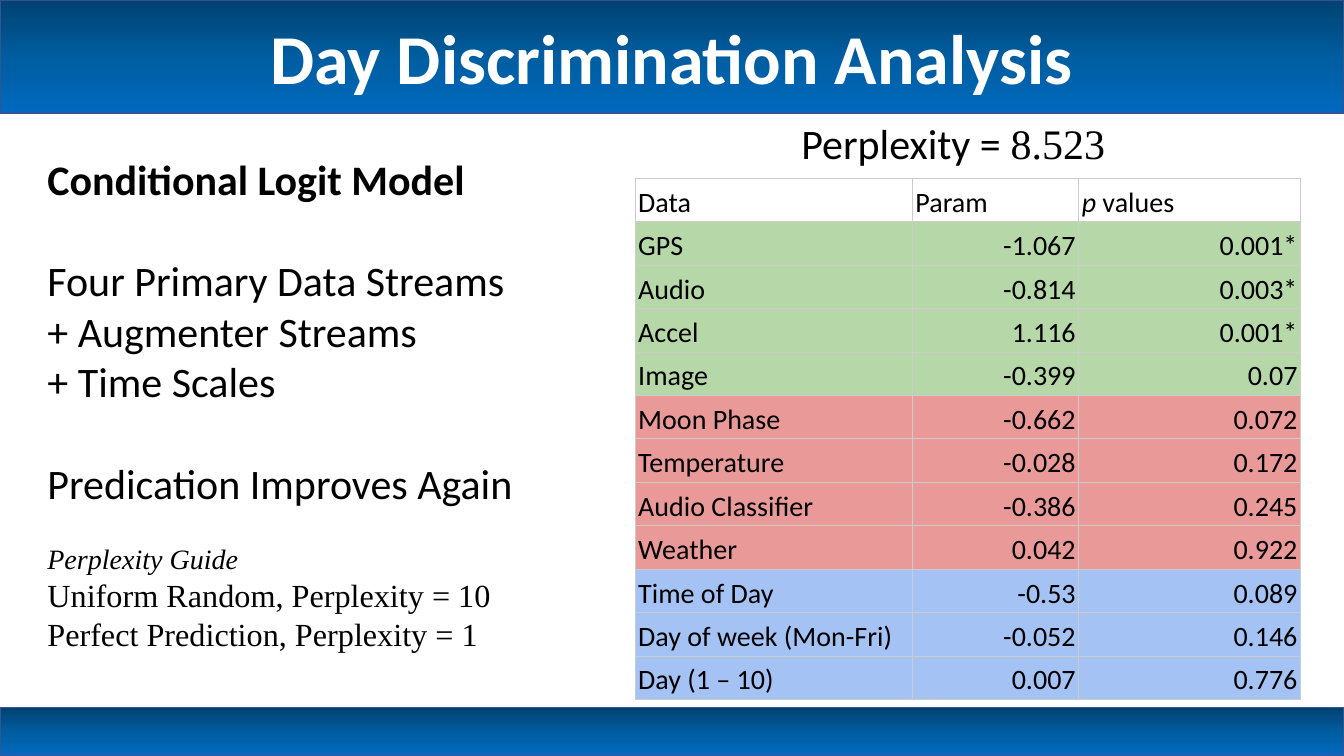
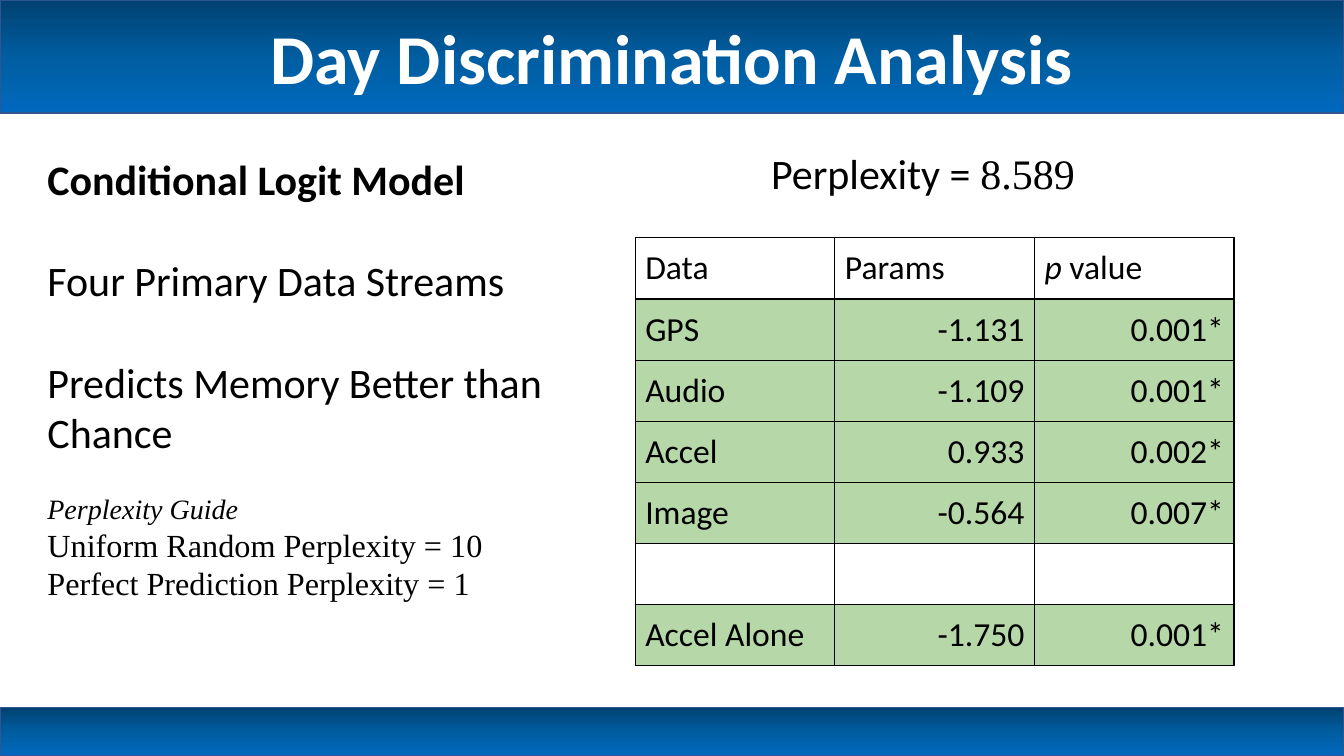
from copy import deepcopy

from lxml.etree import SubElement
from pptx import Presentation
from pptx.dml.color import RGBColor
from pptx.enum.shapes import MSO_SHAPE
from pptx.enum.text import MSO_ANCHOR, MSO_AUTO_SIZE, PP_ALIGN
from pptx.oxml.ns import qn
from pptx.util import Inches, Pt

# Colours and fonts
BLACK = RGBColor(0x00, 0x00, 0x00)
WHITE = RGBColor(0xFF, 0xFF, 0xFF)
BAND_LINE = RGBColor(0x32, 0x54, 0x91)
BAND_STOPS = [
    (0, RGBColor(0x00, 0x42, 0x72)),
    (0.54, RGBColor(0x00, 0x5E, 0xA2)),
    (1, RGBColor(0x00, 0x69, 0xBE)),
]
GRID_GREY = RGBColor(0xCC, 0xCC, 0xCC)
GREEN = RGBColor(0xB6, 0xD7, 0xA8)
RED = RGBColor(0xEA, 0x99, 0x99)
BLUE = RGBColor(0xA4, 0xC2, 0xF4)
SANS = "Calibri"
SERIF = "Times New Roman"

# Text styles
TITLE = {"name": SANS, "size": Pt(50), "bold": True, "color": WHITE}
BODY = {"name": SANS, "size": Pt(30), "bold": False, "color": BLACK}
HEADING = {**BODY, "bold": True}
FIGURE = {**BODY, "name": SERIF}
GUIDE = {"name": SERIF, "size": Pt(23), "bold": False, "color": BLACK}
GUIDE_HEADING = {**GUIDE, "size": Pt(20), "italic": True}

# Space before a paragraph, in points
BODY_GAP = 36.5
GUIDE_GAP = 24.5

# Boxes: left, top, width, height in inches
SLIDE_WIDTH, SLIDE_HEIGHT = 13.33, 7.5
HEADER_BOX = (0, 0, SLIDE_WIDTH, 1.12)
FOOTER_BOX = (0, 7.02, SLIDE_WIDTH, 0.48)
TITLE_BOX = (2.04, 0.09, 9.25, 0.94)


def add_run(paragraph, text, style):
    run = paragraph.add_run()
    run.text = text
    for attribute, value in style.items():
        if attribute == "color":
            run.font.color.rgb = value
        else:
            setattr(run.font, attribute, value)


def place(shape, box):
    for attribute, length in zip(("left", "top", "width", "height"), box):
        setattr(shape, attribute, Inches(length))


def add_band(slide, box):
    """Gradient band behind everything else."""
    band = slide.shapes.add_shape(MSO_SHAPE.RECTANGLE, *map(Inches, box))
    band.shadow.inherit = False
    band.line.color.rgb = BAND_LINE
    band.line.width = Pt(1)
    band.fill.gradient()
    band.fill.gradient_angle = 270
    stop_list = band.element.find(".//" + qn("a:gsLst"))
    stop_list.append(deepcopy(stop_list[0]))
    for stop, (position, color) in zip(band.fill.gradient_stops, BAND_STOPS):
        stop.position = position
        stop.color.rgb = color
    band.element.getparent().insert(2, band.element)


def fill_title(slide, box, text):
    title = slide.shapes.title
    place(title, box)
    frame = title.text_frame
    frame.auto_size = MSO_AUTO_SIZE.NONE
    frame.vertical_anchor = MSO_ANCHOR.TOP
    paragraph = frame.paragraphs[0]
    paragraph.alignment = PP_ALIGN.CENTER
    add_run(paragraph, text, TITLE)


def fill_body(slide, box, lines):
    """Unbulleted list of (text, style, space before)."""
    body = slide.placeholders[1]
    place(body, box)
    frame = body.text_frame
    frame.auto_size = MSO_AUTO_SIZE.NONE
    for index, (text, style, gap) in enumerate(lines):
        paragraph = frame.add_paragraph() if index else frame.paragraphs[0]
        properties = paragraph._p.get_or_add_pPr()
        properties.set("marL", "0")
        properties.set("indent", "0")
        SubElement(properties, qn("a:buNone"))
        paragraph.space_before = Pt(gap)
        add_run(paragraph, text, style)


def add_perplexity(slide, box, value):
    caption = slide.shapes.add_textbox(*map(Inches, box))
    caption.text_frame.word_wrap = True
    paragraph = caption.text_frame.paragraphs[0]
    add_run(paragraph, "Perplexity = ", BODY)
    add_run(paragraph, value, FIGURE)


def set_borders(cell, color, width):
    properties = cell._tc.get_or_add_tcPr()
    for side in ("lnL", "lnR", "lnT", "lnB"):
        line = SubElement(properties, qn("a:" + side), w=str(Pt(width)))
        solid = SubElement(line, qn("a:solidFill"))
        SubElement(solid, qn("a:srgbClr"), val=str(color))


def add_results(slide, box, header, rows, look):
    """Table of (fill, name, parameter, p value) rows under a header."""
    left, top, width, height = box
    lines = [(None, *header), *rows]
    frame = slide.shapes.add_table(len(lines), len(header), *map(Inches, box))
    table = frame.table
    table.first_row = table.horz_banding = False
    for column, share in zip(table.columns, look["shares"]):
        column.width = Inches(width * share / sum(look["shares"]))
    for row in table.rows:
        row.height = Inches(height / len(lines))

    style = {"name": SANS, "size": Pt(look["size"]), "color": BLACK}
    side_margin, end_margin = look["margins"]
    cell_format = {
        "margin_left": Inches(side_margin), "margin_right": Inches(side_margin),
        "margin_top": Inches(end_margin), "margin_bottom": Inches(end_margin),
        "vertical_anchor": look["anchor"],
    }
    for row_index, (fill, *texts) in enumerate(lines):
        for column_index, text in enumerate(texts):
            cell = table.cell(row_index, column_index)
            for attribute, value in cell_format.items():
                setattr(cell, attribute, value)
            set_borders(cell, *look["border"])
            if fill:
                cell.fill.solid()
                cell.fill.fore_color.rgb = fill
            else:
                cell.fill.background()
            paragraph = cell.text_frame.paragraphs[0]
            if row_index and column_index:
                paragraph.alignment = PP_ALIGN.RIGHT
            if row_index or column_index:
                paragraph.line_spacing = look["spacing"]
            # The symbol p is italic in the header
            if text.startswith("p "):
                add_run(paragraph, "p", {**style, "italic": True})
                text = text[1:]
            if text:
                add_run(paragraph, text, style)


def add_analysis_slide(presentation, content):
    slide = presentation.slides.add_slide(presentation.slide_layouts[1])
    for box in (HEADER_BOX, FOOTER_BOX):
        add_band(slide, box)
    fill_title(slide, TITLE_BOX, "Day Discrimination Analysis")
    fill_body(slide, content["body_box"], content["body"])
    add_results(slide, content["table_box"], content["header"],
                content["rows"], content["look"])
    add_perplexity(slide, content["caption_box"], content["perplexity"])


ALL_STREAMS = {
    "body_box": (0.37, 1.47, 5.93, 5.08),
    "body": [
        ("Conditional Logit Model", HEADING, 0),
        ("Four Primary Data Streams", BODY, BODY_GAP),
        ("+ Augmenter Streams", BODY, 0),
        ("+ Time Scales", BODY, 0),
        ("Predication Improves Again", BODY, BODY_GAP),
        ("Perplexity Guide", GUIDE_HEADING, GUIDE_GAP),
        ("Uniform Random, Perplexity = 10", GUIDE, 0),
        ("Perfect Prediction, Perplexity = 1", GUIDE, 0),
    ],
    "caption_box": (7.85, 1.12, 3.44, 0.61),
    "perplexity": "8.523",
    "table_box": (6.3, 1.77, 6.6, 5.01),
    "header": ("Data", "Param", "p values"),
    "rows": [
        (GREEN, "GPS", "-1.067", "0.001*"),
        (GREEN, "Audio", "-0.814", "0.003*"),
        (GREEN, "Accel", "1.116", "0.001*"),
        (GREEN, "Image", "-0.399", "0.07"),
        (RED, "Moon Phase", "-0.662", "0.072"),
        (RED, "Temperature", "-0.028", "0.172"),
        (RED, "Audio Classifier", "-0.386", "0.245"),
        (RED, "Weather", "0.042", "0.922"),
        (BLUE, "Time of Day", "-0.53", "0.089"),
        (BLUE, "Day of week (Mon-Fri)", "-0.052", "0.146"),
        (BLUE, "Day (1 – 10)", "0.007", "0.776"),
    ],
    "look": {
        "shares": (2.75, 1.65, 2.2), "size": 20, "spacing": 1.15,
        "margins": (0.03, 0.02), "anchor": MSO_ANCHOR.BOTTOM,
        "border": (GRID_GREY, 0.75),
    },
}

PRIMARY_STREAMS = {
    "body_box": (0.37, 1.47, 5.93, 4.58),
    "body": [
        ("Conditional Logit Model", HEADING, 0),
        ("Four Primary Data Streams", BODY, BODY_GAP),
        ("Predicts Memory Better than Chance", BODY, BODY_GAP),
        ("Perplexity Guide", GUIDE_HEADING, GUIDE_GAP),
        ("Uniform Random Perplexity = 10", GUIDE, 0),
        ("Perfect Prediction Perplexity = 1", GUIDE, 0),
    ],
    "caption_box": (7.55, 1.41, 3.44, 0.61),
    "perplexity": "8.589",
    "table_box": (6.3, 2.36, 5.94, 4.2),
    "header": ("Data", "Params", "p value"),
    "rows": [
        (GREEN, "GPS", "-1.131", "0.001*"),
        (GREEN, "Audio", "-1.109", "0.001*"),
        (GREEN, "Accel", "0.933", "0.002*"),
        (GREEN, "Image", "-0.564", "0.007*"),
        (None, "", "", ""),
        (GREEN, "Accel Alone", "-1.750", "0.001*"),
    ],
    "look": {
        "shares": (1, 1, 1), "size": 24, "spacing": 1.0,
        "margins": (0.1, 0.1), "anchor": MSO_ANCHOR.TOP,
        "border": (BLACK, 1),
    },
}


def main():
    presentation = Presentation()
    presentation.slide_width = Inches(SLIDE_WIDTH)
    presentation.slide_height = Inches(SLIDE_HEIGHT)
    for content in (ALL_STREAMS, PRIMARY_STREAMS):
        add_analysis_slide(presentation, content)
    presentation.save("out.pptx")


if __name__ == "__main__":
    main()
